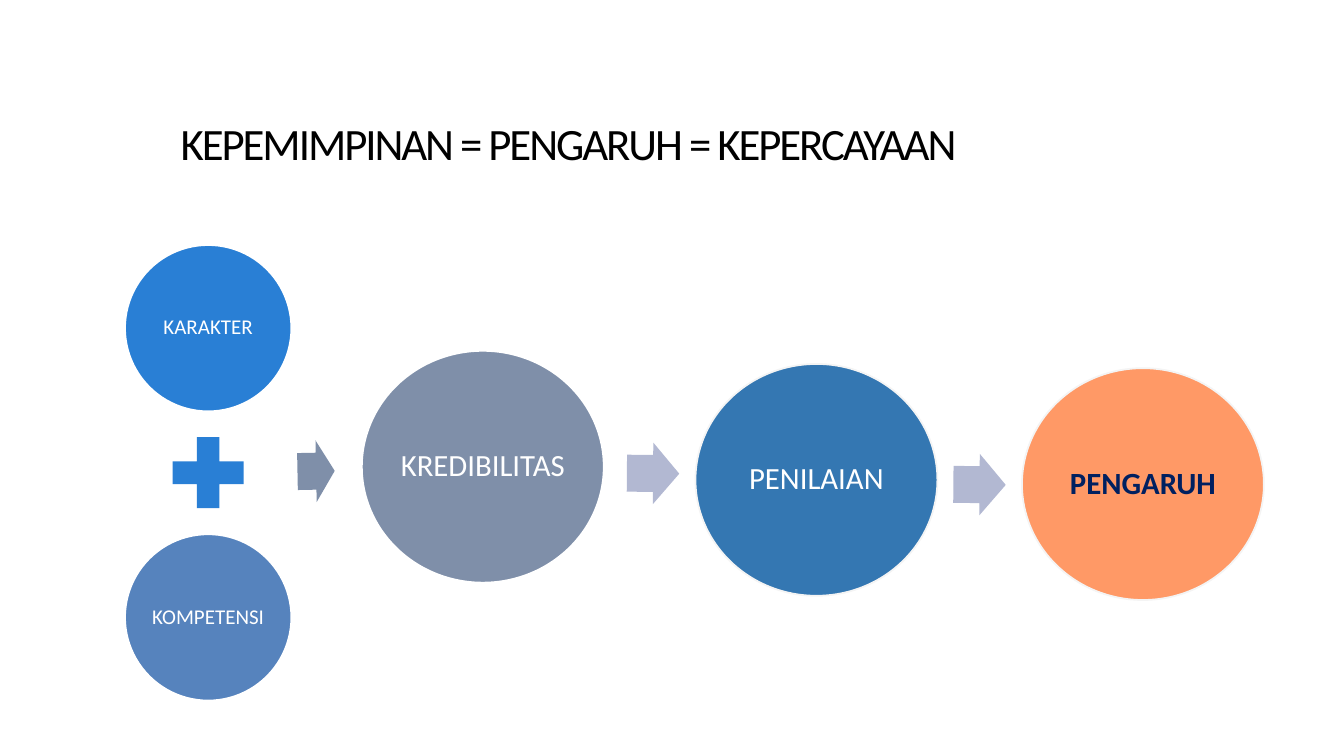
from dataclasses import dataclass

from pptx import Presentation
from pptx import util as u
from pptx.dml.color import RGBColor
from pptx.enum import shapes, text


@dataclass(frozen=True)
class Theme:
    """Colours, font and type sizes of the slide."""
    font: str = "Calibri"
    black: str = "000000"
    white: str = "FFFFFF"
    pale: str = "F4F4F4"
    navy: str = "002060"
    blue: str = "297FD5"
    steel: str = "5683BD"
    slate: str = "7F8FA9"
    lilac: str = "B2B8D2"
    deep: str = "3477B2"
    orange: str = "FF9966"
    title: float = 32
    factor: float = 15
    stage: float = 22


T = Theme()
S = shapes.MSO_SHAPE


def set_attrs(obj, **values):
    """Set each named attribute on an object."""
    for name, value in values.items():
        setattr(obj, name, value)


def write(sp, words, size, color, inset, spacing, bold=False, wrap=False):
    """Put one centred line of text into a shape."""
    tf = sp.text_frame
    pad = u.Pt(inset)
    set_attrs(tf, word_wrap=wrap, vertical_anchor=text.MSO_ANCHOR.MIDDLE,
              margin_left=pad, margin_right=pad, margin_top=pad, margin_bottom=pad)
    p = tf.paragraphs[0]
    set_attrs(p, alignment=text.PP_ALIGN.CENTER, line_spacing=spacing)
    r = p.add_run()
    r.text = words
    set_attrs(r.font, name=T.font, size=u.Pt(size), bold=bold)
    r.font.color.rgb = RGBColor.from_string(color)
    return r


def add_shape(s, kind, box, fill, line=None):
    """Add a flat preset shape in a box given in points."""
    sp = s.shapes.add_shape(kind, *map(u.Pt, box))
    sp.shadow.inherit = False
    sp.fill.solid()
    sp.fill.fore_color.rgb = RGBColor.from_string(fill)
    if line:
        sp.line.color.rgb = RGBColor.from_string(line)
        sp.line.width = u.Pt(1.25)
    else:
        sp.line.fill.background()
    return sp


def add_title(s, box, words):
    """Place the title placeholder with tight letter spacing."""
    sp = s.shapes.title
    set_attrs(sp, **dict(zip(("left", "top", "width", "height"), map(u.Pt, box))))
    r = write(sp, words, T.title, T.black, 18, 0.85, wrap=True)
    r.font._element.set("spc", "-150")


def add_factors(s, box, factors):
    """Stack two circles at the ends of a box with a plus between them."""
    x, y, w, h = box
    for i, (words, fill) in enumerate(factors):
        sp = add_shape(s, S.OVAL, (x, y + i * (h - w), w, w), fill, T.white)
        write(sp, words, T.factor, T.white, 1.5, 0.9)
    plus = 69
    add_shape(s, S.MATH_PLUS, (x + (w - plus) / 2, y + (h - plus) / 2, plus, plus), T.blue)


def add_stage(s, box, words, fill, line, color, bold, arrow):
    """Draw a stage circle in its box and the arrow that leads to it."""
    x, y, w, h = box
    dx, dy, length, tint, angle = arrow
    sp = add_shape(s, S.RIGHT_ARROW, (x - dx, y + dy, length, 44), tint)
    sp.rotation = angle
    sp.adjustments[0] = 0.6
    sp = add_shape(s, S.OVAL, box, fill, line)
    write(sp, words, T.stage, color, 2, 0.9, bold)


def main():
    """Build the slide and save it."""
    prs = Presentation()
    set_attrs(prs, slide_width=u.Pt(960), slide_height=u.Pt(540))
    s = prs.slides.add_slide(prs.slide_layouts[5])
    add_title(s, (46.8, 46, 718.6, 118), "KEPEMIMPINAN = PENGARUH = KEPERCAYAAN")
    add_factors(s, (89.3, 175, 118.8, 325.4),
                [("KARAKTER", T.blue), ("KOMPETENSI", T.steel)])
    stages = [
        (258.5, 250.6, "KREDIBILITAS", T.slate, T.white, T.white, False,
         (46, 64, 26.6, T.slate, 358.9)),
        (496.8, 260, "PENILAIAN", T.deep, T.pale, T.white, False,
         (49, 56.2, 37.4, T.lilac, 0.5)),
        (730, 263, "PENGARUH", T.orange, T.pale, T.navy, True,
         (49, 61.2, 37.4, T.lilac, 0.5)),
    ]
    for x, y, *look in stages:
        add_stage(s, (x, y, 172.8, 165.6), *look)
    prs.save("out.pptx")


if __name__ == "__main__":
    main()
